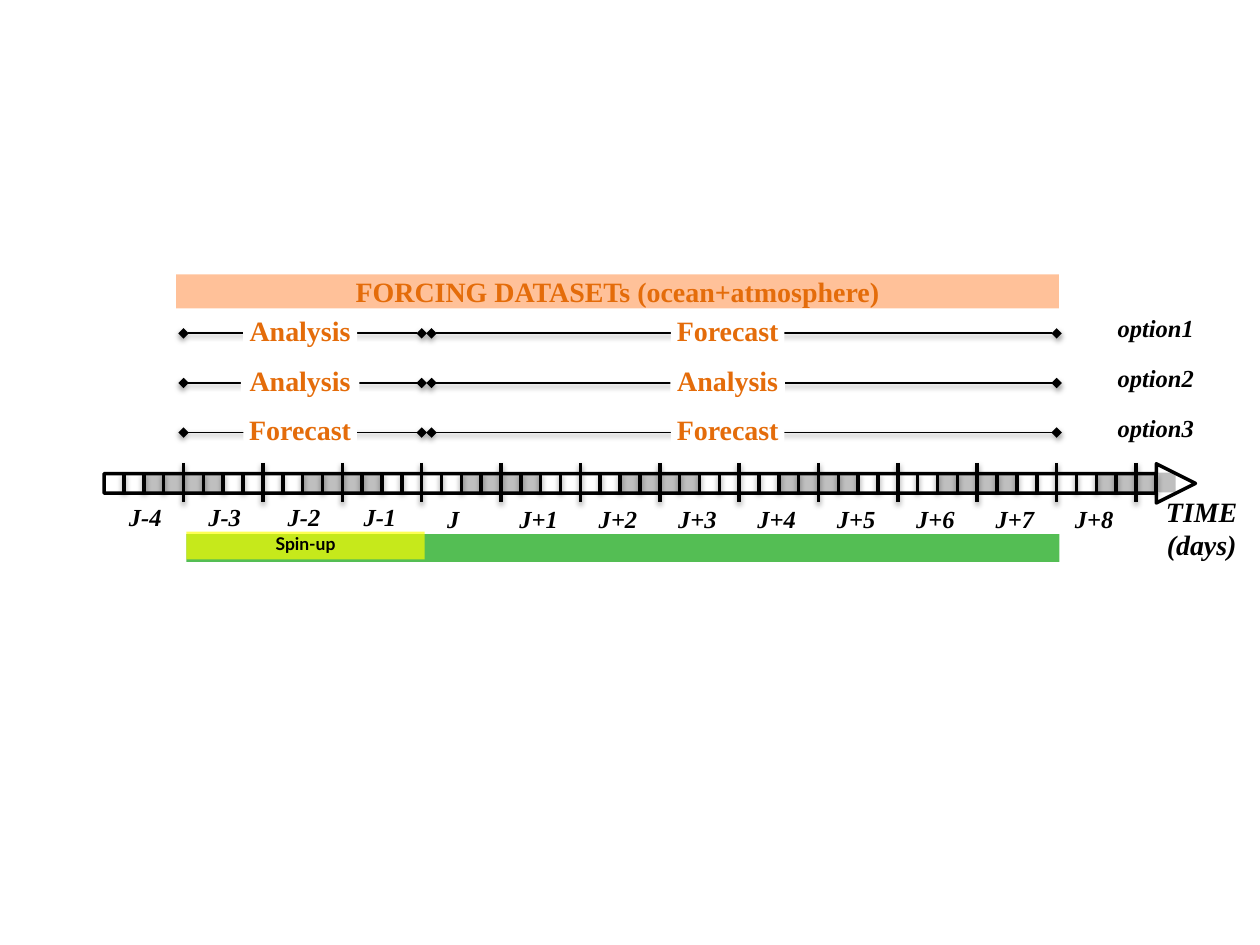
from lxml import etree
from pptx import Presentation
from pptx.dml.color import RGBColor
from pptx.enum.shapes import MSO_CONNECTOR, MSO_SHAPE
from pptx.enum.text import MSO_ANCHOR, PP_ALIGN
from pptx.oxml.ns import qn
from pptx.util import Cm, Pt

RECTANGLE, ARROW = MSO_SHAPE.RECTANGLE, MSO_SHAPE.RIGHT_ARROW
STRAIGHT = MSO_CONNECTOR.STRAIGHT
TOP = MSO_ANCHOR.TOP
CENTER, LEFT = PP_ALIGN.CENTER, PP_ALIGN.LEFT

COLORS = {
    "black": "000000", "white": "FFFFFF", "orange": "FF6600",
    "rust": "E46C0A", "gray": "808080", "green": "009F00", "yellow": "FFFF00",
}
SERIF = "Times New Roman"
DATASET = {"name": SERIF, "size": Pt(16), "bold": True}
CAPTION = {"name": SERIF, "size": Pt(14), "bold": True, "italic": True}
AXIS_TITLE = {**CAPTION, "size": Pt(16)}
SPIN_UP = {"name": "Lato", "size": Pt(10), "bold": True}

DAY = 1.6       # width of one day, cm
STEP = DAY / 4  # width of one six-hour cell, cm


def color(name):
    return RGBColor.from_string(COLORS[name])


def add_block(page, box, fill, alpha=None, kind=RECTANGLE):
    """Preset shape without outline; alpha is a percentage."""
    block = page.shapes.add_shape(kind, *map(Cm, box))
    block.shadow.inherit = False
    block.line.fill.background()
    if fill is None:
        block.fill.background()
        return block
    block.fill.solid()
    block.fill.fore_color.rgb = color(fill)
    if alpha is not None:
        tint = block.fill._xPr.find(".//" + qn("a:srgbClr"))
        etree.SubElement(tint, qn("a:alpha"), val=str(alpha * 1000))
    return block


def write(shape, lines, font, ink="black", align=CENTER, side=0.1, top=0,
          wrap=False, **spacing):
    frame = shape.text_frame
    settings = {
        "word_wrap": wrap, "vertical_anchor": TOP,
        "margin_left": Cm(side), "margin_right": Cm(side),
        "margin_top": Cm(top), "margin_bottom": Cm(top),
    }
    for key, value in settings.items():
        setattr(frame, key, value)
    for index, line in enumerate(lines):
        para = frame.add_paragraph() if index else frame.paragraphs[0]
        para.alignment = align
        for key, value in spacing.items():
            setattr(para, key, value)
        span = para.add_run()
        span.text = line
        for key, value in font.items():
            setattr(span.font, key, value)
        span.font.color.rgb = color(ink)


def add_text(page, box, lines, font, **options):
    write(page.shapes.add_textbox(*map(Cm, box)), lines, font, **options)


def add_line(page, start, end, weight, ends=None):
    """Black line with a soft shadow below and optional end markers."""
    line = page.shapes.add_connector(STRAIGHT, *map(Cm, start + end))
    line.line.width = Pt(weight)
    line.line.color.rgb = color("black")
    if ends:
        for tag in ("a:headEnd", "a:tailEnd"):
            etree.SubElement(line.line._ln, qn(tag), type=ends)
    effects = etree.SubElement(line._element.spPr, qn("a:effectLst"))
    shadow = etree.SubElement(
        effects, qn("a:outerShdw"), blurRad=str(Pt(3.1)), dist=str(Pt(1.6)),
        dir="5400000", rotWithShape="0")
    tint = etree.SubElement(shadow, qn("a:srgbClr"), val=COLORS["black"])
    etree.SubElement(tint, qn("a:alpha"), val="38000")


def add_timeline(page, box):
    left, top, width, height = box
    bar_top, bar_height = top + 0.18, 0.4
    # Night bands, every second day
    for band in range(7):
        add_block(page, (left + DAY / 2 + 2 * DAY * band, bar_top, DAY,
                         bar_height), "gray", 50)
    # Time arrow
    arrow = add_block(page, box, None, kind=ARROW)
    arrow.adjustments[0], arrow.adjustments[1] = 0.5, 1.0
    arrow.line.color.rgb = color("black")
    arrow.line.width = Pt(2)
    # Ticks, taller at each full day
    for tick in range(1, 54):
        x = left + STEP * tick
        reach = 0 if tick % 4 else 0.2
        add_line(page, (x, bar_top - reach),
                 (x, bar_top + bar_height + reach), 2)
    # Day names, by centre of the first one in each group
    groups = [
        (0.83, 0.78, ["J-4", "J-3", "J-2"]),
        (5.56, 0.78, ["J-1"]),
        (7.04, 0.81, ["J"]),
        (8.76, 0.81, [f"J+{day}" for day in range(1, 9)]),
    ]
    for first, drop, names in groups:
        for index, name in enumerate(names):
            center = left + first + DAY * index
            add_text(page, (center - 0.47, top + drop, 0.94, 0.6), [name],
                     CAPTION, side=0)
    # Axis title
    add_text(page, (left + width - 0.8, top + 0.61, 1.85, 1.37),
             ["TIME", "(days)"], AXIS_TITLE)


def add_option(page, box, name, labels):
    """One row: two spans with a dataset label on each, and its name."""
    left, top, width, height = box
    y = top + 0.4
    spans = [(0, 4.8, 2.35), (5, width, 10.97)]
    for (start, end, center), (label, label_width) in zip(spans, labels):
        add_line(page, (left + start, y), (left + end, y), 1, "diamond")
        plate = add_block(page, (left + center - label_width / 2, top,
                                 label_width, height), "white")
        write(plate, [label], DATASET, ink="rust")
    plate = add_block(page, (left + width + 1.13, top, 1.93, 0.6), "white")
    write(plate, [name], CAPTION, align=LEFT)


def add_run_bar(page, box):
    left, top, width, height = box
    add_block(page, (left, top + 0.05, width, height), "green", 67)
    spin_up = add_block(page, (left, top, 3 * DAY, height), "yellow", 67)
    write(spin_up, ["Spin-up"], SPIN_UP, top=0.1, wrap=True,
          line_spacing=0.8, space_before=Pt(2))


def add_forcing(page, box):
    left, top, width, height = box
    header = add_block(page, box, "orange", 40)
    write(header, ["FORCING DATASETs (ocean+atmosphere)"], DATASET,
          ink="rust", wrap=True)
    options = [
        (("Analysis", 2.3), ("Forecast", 2.29)),
        (("Analysis", 2.39), ("Analysis", 2.31)),
        (("Forecast", 2.29), ("Forecast", 2.29)),
    ]
    for index, labels in enumerate(options):
        add_option(page, (left + 0.15, top + 0.79 + index, 17.6, 0.69),
                   f"option{index + 1}", labels)


deck = Presentation()
deck.slide_width, deck.slide_height = Cm(25.4), Cm(19.05)
page = deck.slides.add_slide(deck.slide_layouts[6])
add_timeline(page, (2.1, 9.35, 22, 0.79))
add_run_bar(page, (3.76, 10.72, 17.6, 0.56))
add_forcing(page, (3.55, 5.53, 17.8, 0.69))
deck.save("out.pptx")
